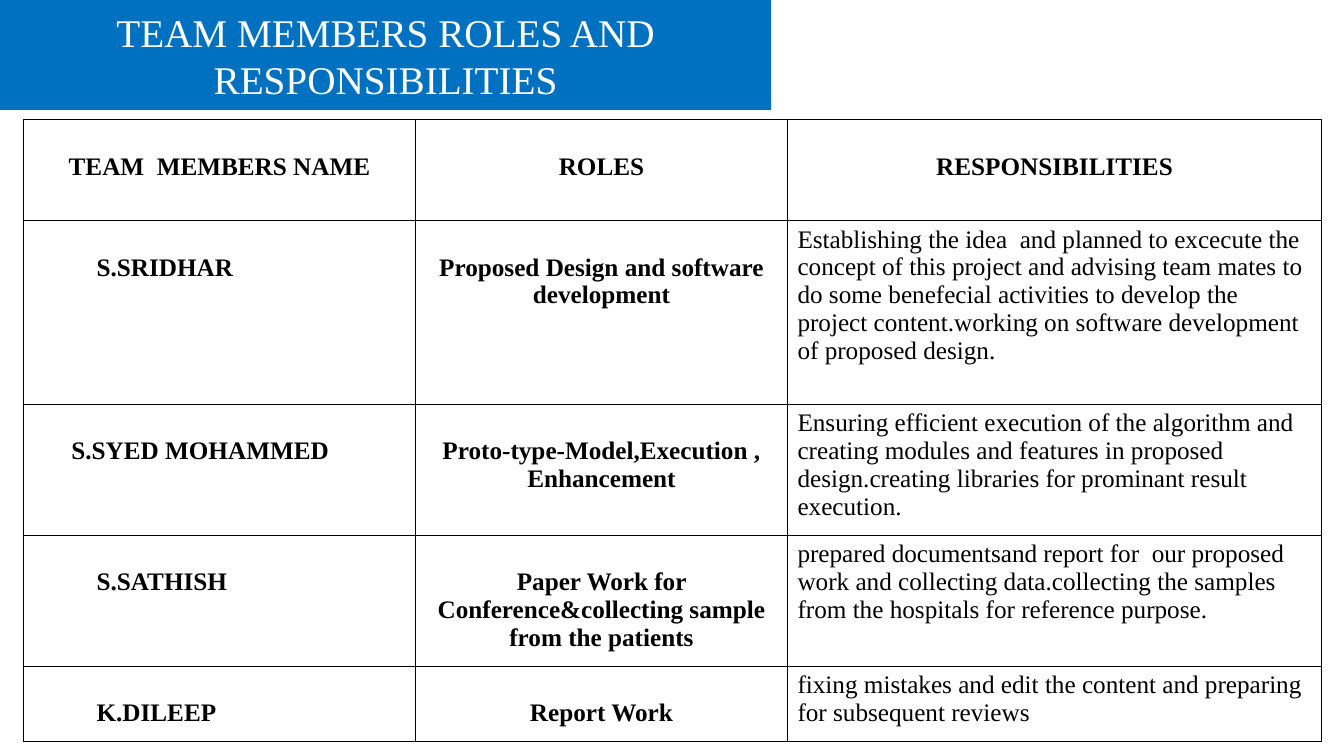
from dataclasses import dataclass

from lxml import etree
from pptx import Presentation
from pptx.dml.color import RGBColor
from pptx.enum import text as t
from pptx.oxml import ns
from pptx.util import Pt


@dataclass(frozen=True)
class Theme:
    font: str = "Times New Roman"
    banner: RGBColor = RGBColor(0x00, 0x70, 0xC0)
    paper: RGBColor = RGBColor(0xFF, 0xFF, 0xFF)
    ink: RGBColor = RGBColor(0, 0, 0)
    title_size: int = 28
    body_size: int = 18
    border: int = 1


THEME = Theme()
CELL_TOP = 3.6
CELL_SIDE = 7.2
LINE = 20  # one line of body text
CENTER, LEFT = t.PP_ALIGN.CENTER, t.PP_ALIGN.LEFT

COLUMN_WIDTHS = (280, 265.7, 381.6)
ROW_HEIGHTS = (72, 131.2, 93.6, 93.6, 53.8)
HEADINGS = ("TEAM  MEMBERS NAME", "ROLES", "RESPONSIBILITIES")
# Name, indent of the name, role, responsibilities
MEMBERS = (
    ("S.SRIDHAR", 45, "Proposed Design and software development",
     "Establishing the idea  and planned to excecute the concept of this project "
     "and advising team mates to do some benefecial activities to develop the "
     "project content.working on software development of proposed design."),
    ("S.SYED MOHAMMED", 27, "Proto-type-Model,Execution ,\nEnhancement",
     "Ensuring efficient execution of the algorithm and creating modules and "
     "features in proposed design.creating libraries for prominant result execution."),
    ("S.SATHISH", 45, "Paper Work for Conference&collecting sample from the patients",
     "prepared documentsand report for  our proposed work and collecting "
     "data.collecting the samples from the hospitals for reference purpose."),
    ("K.DILEEP", 45, "Report Work",
     "fixing mistakes and edit the content and preparing for subsequent reviews"),
)


def style_text(frame, size, color, align, bold=False):
    for paragraph in frame.paragraphs:
        paragraph.alignment = align
        font = paragraph.font
        font.name, font.size, font.bold = THEME.font, Pt(size), bold
        font.color.rgb = color


def add_banner(slide, wording):
    banner = slide.shapes.title
    banner.left, banner.top, banner.width, banner.height = Pt(0), Pt(0), Pt(550.8), Pt(78.5)
    banner.fill.solid()
    banner.fill.fore_color.rgb = THEME.banner
    frame = banner.text_frame
    frame.text = wording
    frame.word_wrap = True
    frame.auto_size = t.MSO_AUTO_SIZE.NONE
    frame.vertical_anchor = t.MSO_ANCHOR.MIDDLE
    style_text(frame, THEME.title_size, THEME.paper, CENTER)


def add_borders(cell):
    properties = cell._tc.get_or_add_tcPr()
    for position, side in enumerate(("lnL", "lnR", "lnT", "lnB")):
        edge = etree.Element(ns.qn("a:" + side), w=str(Pt(THEME.border)))
        fill = etree.SubElement(edge, ns.qn("a:solidFill"))
        etree.SubElement(fill, ns.qn("a:srgbClr"), val=str(THEME.ink))
        properties.insert(position, edge)


def fill_cell(cell, wording, align=CENTER, bold=True, drop=LINE, indent=0):
    cell.text = wording
    cell.margin_top, cell.margin_bottom = Pt(CELL_TOP + drop), Pt(CELL_TOP)
    cell.margin_left, cell.margin_right = Pt(CELL_SIDE + indent), Pt(CELL_SIDE)
    cell.fill.solid()
    cell.fill.fore_color.rgb = THEME.paper
    style_text(cell.text_frame, THEME.body_size, THEME.ink, align, bold)
    add_borders(cell)


def add_roles_table(slide):
    roles = slide.shapes.add_table(
        len(ROW_HEIGHTS), len(COLUMN_WIDTHS), Pt(16.8), Pt(85.5),
        Pt(sum(COLUMN_WIDTHS)), Pt(sum(ROW_HEIGHTS))).table
    roles.first_row = roles.horz_banding = False
    for column, width in zip(roles.columns, COLUMN_WIDTHS):
        column.width = Pt(width)
    for row, height in zip(roles.rows, ROW_HEIGHTS):
        row.height = Pt(height)

    # Heading row
    for column, heading in enumerate(HEADINGS):
        fill_cell(roles.cell(0, column), heading)

    # One row per team member
    for row, (name, indent, role, duties) in enumerate(MEMBERS, start=1):
        fill_cell(roles.cell(row, 0), name, LEFT, indent=indent)
        fill_cell(roles.cell(row, 1), role)
        fill_cell(roles.cell(row, 2), duties, LEFT, bold=False, drop=0)


def main():
    deck = Presentation()
    deck.slide_width, deck.slide_height = Pt(960), Pt(540)
    title_only = deck.slide_layouts[5]
    slide = deck.slides.add_slide(title_only)
    add_banner(slide, "TEAM MEMBERS ROLES AND RESPONSIBILITIES")
    add_roles_table(slide)
    deck.save("out.pptx")


if __name__ == "__main__":
    main()
